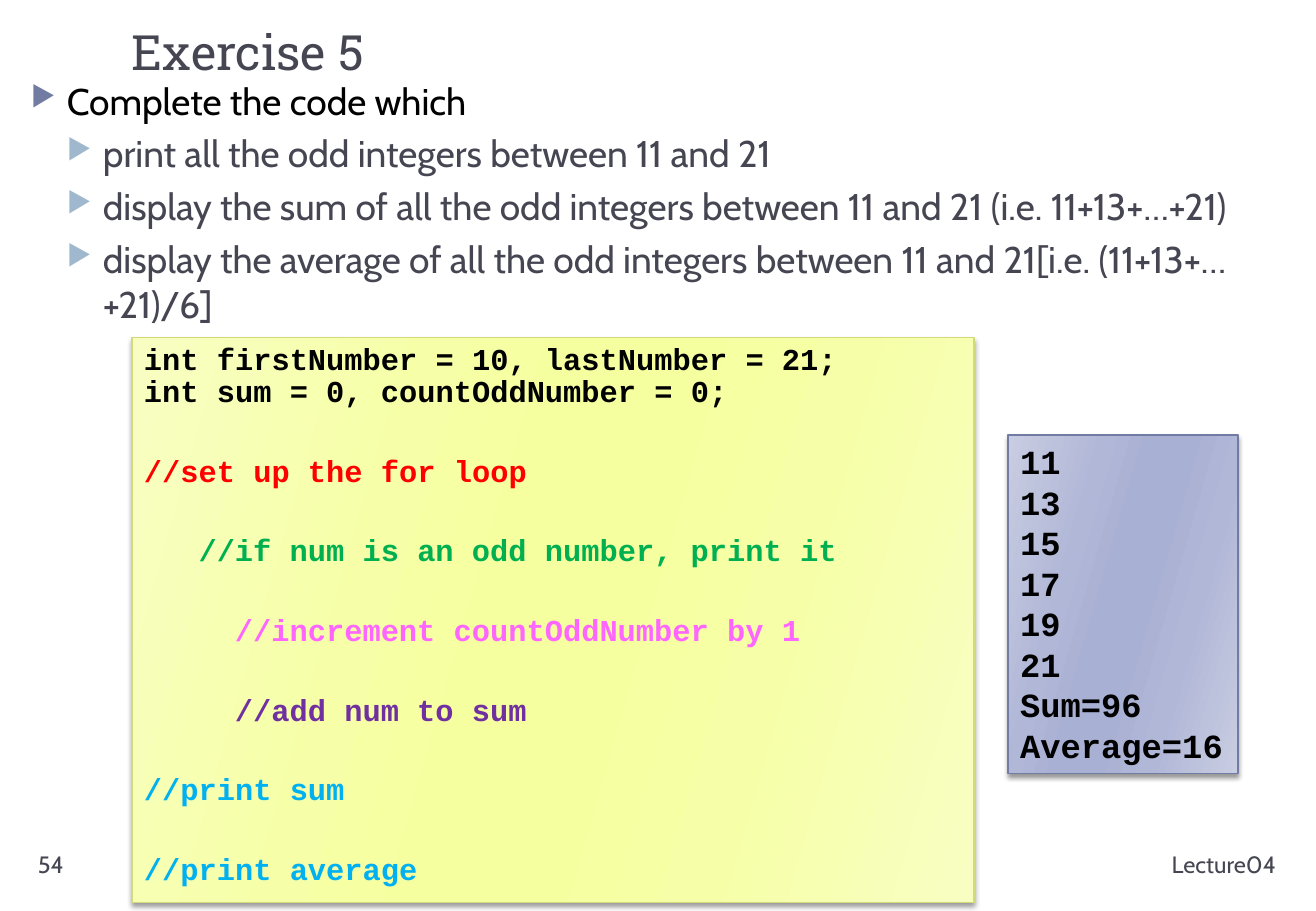
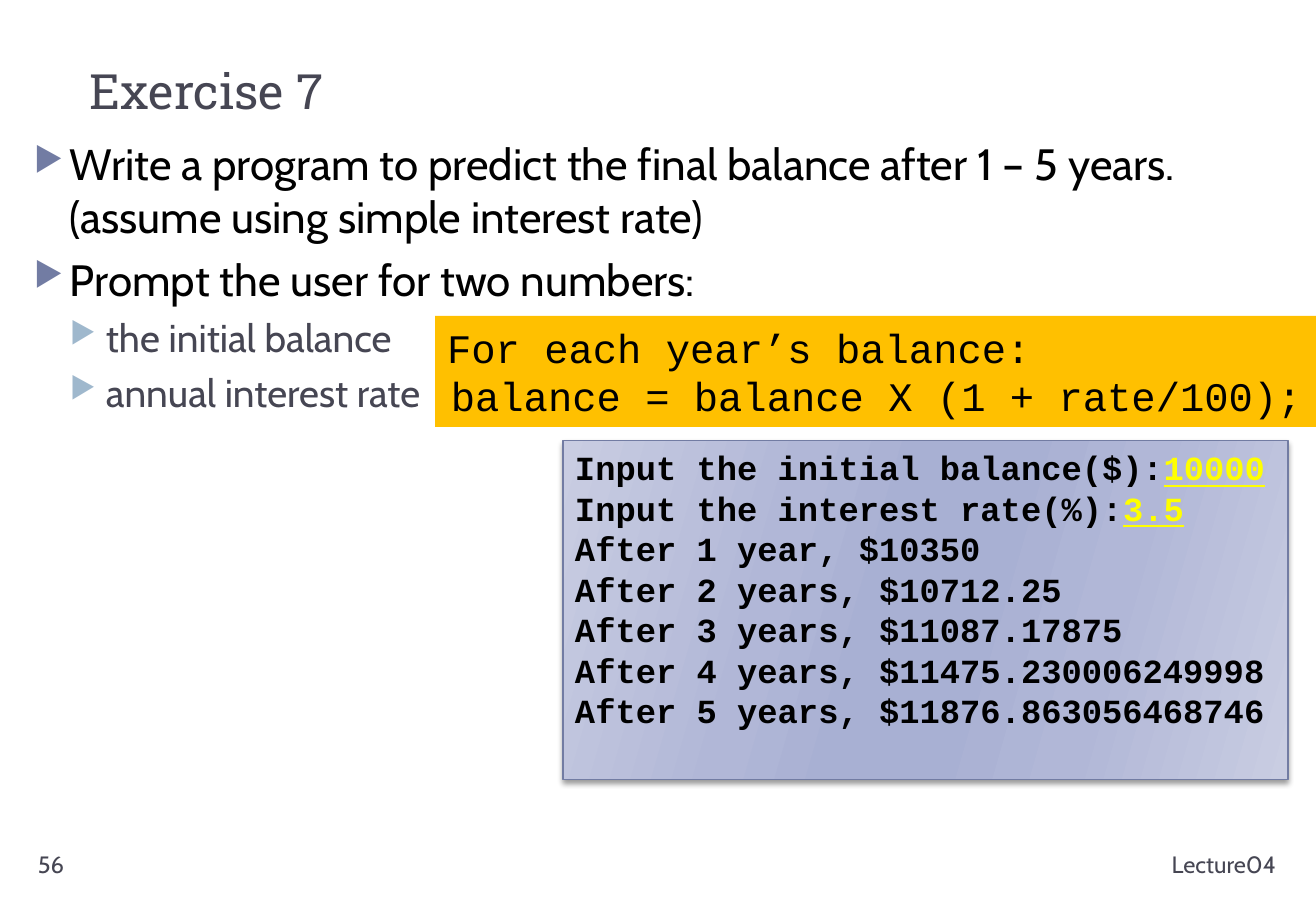
import pptx
import pptx.util
from lxml import etree
from pptx.dml.color import RGBColor
from pptx.enum.shapes import MSO_SHAPE
from pptx.enum.text import MSO_ANCHOR, PP_ALIGN
from pptx.oxml.ns import qn

PX = 914400 / 121.5
Pt = pptx.util.Pt

BLACK = RGBColor(0x00, 0x00, 0x00)
SLATE = RGBColor(0x46, 0x46, 0x53)
INDIGO = RGBColor(0x72, 0x7C, 0xA3)
SKY = RGBColor(0x9F, 0xB8, 0xCD)
OLIVE = RGBColor(0xD2, 0xDA, 0x7A)
AMBER = RGBColor(0xFF, 0xC0, 0x00)
YELLOW = RGBColor(0xFF, 0xFF, 0x00)
RED = RGBColor(0xFF, 0x00, 0x00)
GREEN = RGBColor(0x00, 0xB0, 0x50)
PINK = RGBColor(0xFF, 0x66, 0xFF)
PURPLE = RGBColor(0x70, 0x30, 0xA0)
CYAN = RGBColor(0x00, 0xB0, 0xF0)

# Outer, middle and inner tones of the mirrored gradients
LIME_TONES = [RGBColor.from_string(c) for c in ("F8FEC2", "F6FFA7", "F6FF9F")]
BLUE_TONES = [RGBColor.from_string(c) for c in ("C9CDE2", "B1B7D7", "A8B0D3")]
STOPS = ((0, 0), (30, 1), (45, 2), (55, 2), (73, 1), (100, 0))

HEAD_FONT, BODY_FONT, CODE_FONT = "Roboto Slab", "Cabin", "Courier New"


def px(n):
    return round(n * PX)


def add_run(p, text, font, size, color, bold=False, underline=False):
    for i, line in enumerate(text.split("\n")):
        if i:
            p.add_line_break()
        r = p.add_run()
        r.text = line
        r.font.name = font
        r.font.size = Pt(size)
        r.font.color.rgb = color
        r.font.bold = bold
        r.font.underline = underline


def paragraphs(tf, count):
    return [tf.paragraphs[0]] + [tf.add_paragraph() for _ in range(count - 1)]


def indent(p, left, first=0):
    pPr = p._p.get_or_add_pPr()
    pPr.set("marL", str(px(left)))
    pPr.set("indent", str(px(first)))
    return pPr


def text_box(s, box):
    tf = s.shapes.add_textbox(*map(px, box)).text_frame
    tf.word_wrap = True
    return tf


def title(s, box, text):
    tf = text_box(s, box)
    tf.vertical_anchor = MSO_ANCHOR.BOTTOM
    tf.margin_top, tf.margin_bottom = 0, px(2)
    add_run(tf.paragraphs[0], text, HEAD_FONT, 28.8, SLATE)


def bullets(s, box, items, sizes):
    """items: (level, text); sizes: one text size per level."""
    tf = text_box(s, box)
    for p, (level, text) in zip(paragraphs(tf, len(items)), items):
        p.level = level
        p.space_before = Pt(6 - level)
        pPr = indent(p, 36 * (level + 1), -36)
        color = etree.SubElement(pPr, qn("a:buClr"))
        etree.SubElement(color, qn("a:srgbClr"), val=str((INDIGO, SKY)[level]))
        etree.SubElement(pPr, qn("a:buSzPct"), val="76000")
        etree.SubElement(pPr, qn("a:buChar"), char="\u25b6")
        add_run(p, text, BODY_FONT, sizes[level], (BLACK, SLATE)[level])


def footer(s, number):
    # Page number on the left, lecture name on the right
    for box, text, align in (((26, 844, 285, 49), number, PP_ALIGN.LEFT),
                             ((959, 844, 329, 49), "Lecture04", PP_ALIGN.RIGHT)):
        p = text_box(s, box).paragraphs[0]
        p.alignment = align
        add_run(p, text, BODY_FONT, 14, SLATE)


def rectangle(s, box):
    sp = s.shapes.add_shape(MSO_SHAPE.RECTANGLE, *map(px, box))
    sp.shadow.inherit = False
    sp.text_frame.word_wrap = True
    return sp


def gradient_panel(s, box, tones, edge):
    sp = rectangle(s, box)
    sp.fill.gradient()
    sp.fill.gradient_angle = 344
    sp.line.color.rgb = edge
    sp.line.width = Pt(0.75)
    spPr = sp.element.spPr
    # Gradient stops
    stops = spPr.find(".//" + qn("a:gsLst"))
    for old in list(stops):
        stops.remove(old)
    for pos, tone in STOPS:
        gs = etree.SubElement(stops, qn("a:gs"), pos=str(pos * 1000))
        etree.SubElement(gs, qn("a:srgbClr"), val=str(tones[tone]))
    # Soft shadow below
    shadow = etree.SubElement(spPr.find(qn("a:effectLst")), qn("a:outerShdw"),
                              blurRad=str(Pt(3)), dist=str(Pt(2)),
                              dir="5400000", rotWithShape="0")
    color = etree.SubElement(shadow, qn("a:srgbClr"), val=str(BLACK))
    etree.SubElement(color, qn("a:alpha"), val="40000")
    tf = sp.text_frame
    tf.vertical_anchor = MSO_ANCHOR.TOP
    return tf


def code_panel(s, box, lines):
    """lines: (indent in characters, text, colour)."""
    tf = gradient_panel(s, box, LIME_TONES, OLIVE)
    for i, (p, (chars, text, color)) in enumerate(
            zip(paragraphs(tf, len(lines)), lines)):
        p.alignment = PP_ALIGN.LEFT
        p.line_spacing = 0.9
        p.space_before = Pt(27.7 if i else 0)
        indent(p, chars * 18.2)
        add_run(p, text, CODE_FONT, 18, color, bold=True)


def output_panel(s, box, lines):
    """lines: (printed text, typed answer)."""
    tf = gradient_panel(s, box, BLUE_TONES, INDIGO)
    for p, (printed, typed) in zip(paragraphs(tf, len(lines)), lines):
        p.alignment = PP_ALIGN.LEFT
        add_run(p, printed, CODE_FONT, 20, BLACK, bold=True)
        if typed:
            add_run(p, typed, CODE_FONT, 20, YELLOW, bold=True, underline=True)


def formula_band(s, box, lines):
    sp = rectangle(s, box)
    sp.fill.solid()
    sp.fill.fore_color.rgb = AMBER
    sp.line.fill.background()
    tf = sp.text_frame
    tf.word_wrap = False
    tf.vertical_anchor = MSO_ANCHOR.MIDDLE
    for p, (text, align) in zip(paragraphs(tf, len(lines)), lines):
        p.alignment = align
        add_run(p, text, CODE_FONT, 24, BLACK)


def odd_numbers_slide(prs):
    s = prs.slides.add_slide(prs.slide_layouts[6])
    title(s, (120, 21, 1160, 61), "Exercise 5")
    bullets(s, (19, 72, 1261, 678), [
        (0, "Complete the code which"),
        (1, "print all the odd integers between 11 and 21"),
        (1, "display the sum of all the odd integers between 11 and 21 "
            "(i.e. 11+13+\u2026+21)"),
        (1, "display the average of all the odd integers between 11 and 21"
            "[i.e. (11+13+\u2026+21)/6]"),
    ], (22, 22))
    code_panel(s, (132, 338, 842, 565), [
        (0, "int firstNumber = 10, lastNumber = 21;\n"
            "int sum = 0, countOddNumber = 0;", BLACK),
        (0, "//set up the for loop", RED),
        (3, "//if num is an odd number, print it", GREEN),
        (5, "//increment countOddNumber by 1", PINK),
        (5, "//add num to sum", PURPLE),
        (0, "//print sum", CYAN),
        (0, "//print average", CYAN),
    ])
    footer(s, "54")
    odds = [(str(n), "") for n in range(11, 22, 2)]
    output_panel(s, (1008, 435, 230, 339),
                 odds + [("Sum=96", ""), ("Average=16", "")])


def balance_slide(prs):
    s = prs.slides.add_slide(prs.slide_layouts[6])
    title(s, (78, 60, 1160, 61), "Exercise 7")
    bullets(s, (22, 131, 1266, 678), [
        (0, "Write a program to predict the final balance after "
            "1 \u2013 5 years.\n(assume using simple interest rate)"),
        (0, "Prompt the user for two numbers:"),
        (1, "the initial balance"),
        (1, "annual interest rate"),
    ], (26, 23))
    footer(s, "56")
    output_panel(s, (563, 441, 725, 339), [
        ("Input the initial balance($):", "10000"),
        ("Input the interest rate(%):", "3.5"),
        ("After 1 year, $10350", ""),
        ("After 2 years, $10712.25", ""),
        ("After 3 years, $11087.17875", ""),
        ("After 4 years, $11475.230006249998", ""),
        ("After 5 years, $11876.863056468746", ""),
    ])
    formula_band(s, (435, 316, 882, 111), [
        ("For each year\u2019s balance:", PP_ALIGN.LEFT),
        ("balance = balance X (1 + rate/100);", PP_ALIGN.CENTER),
    ])


prs = pptx.Presentation()
prs.slide_width = pptx.util.Inches(10.83)
prs.slide_height = pptx.util.Inches(7.5)
odd_numbers_slide(prs)
balance_slide(prs)
prs.save("out.pptx")
